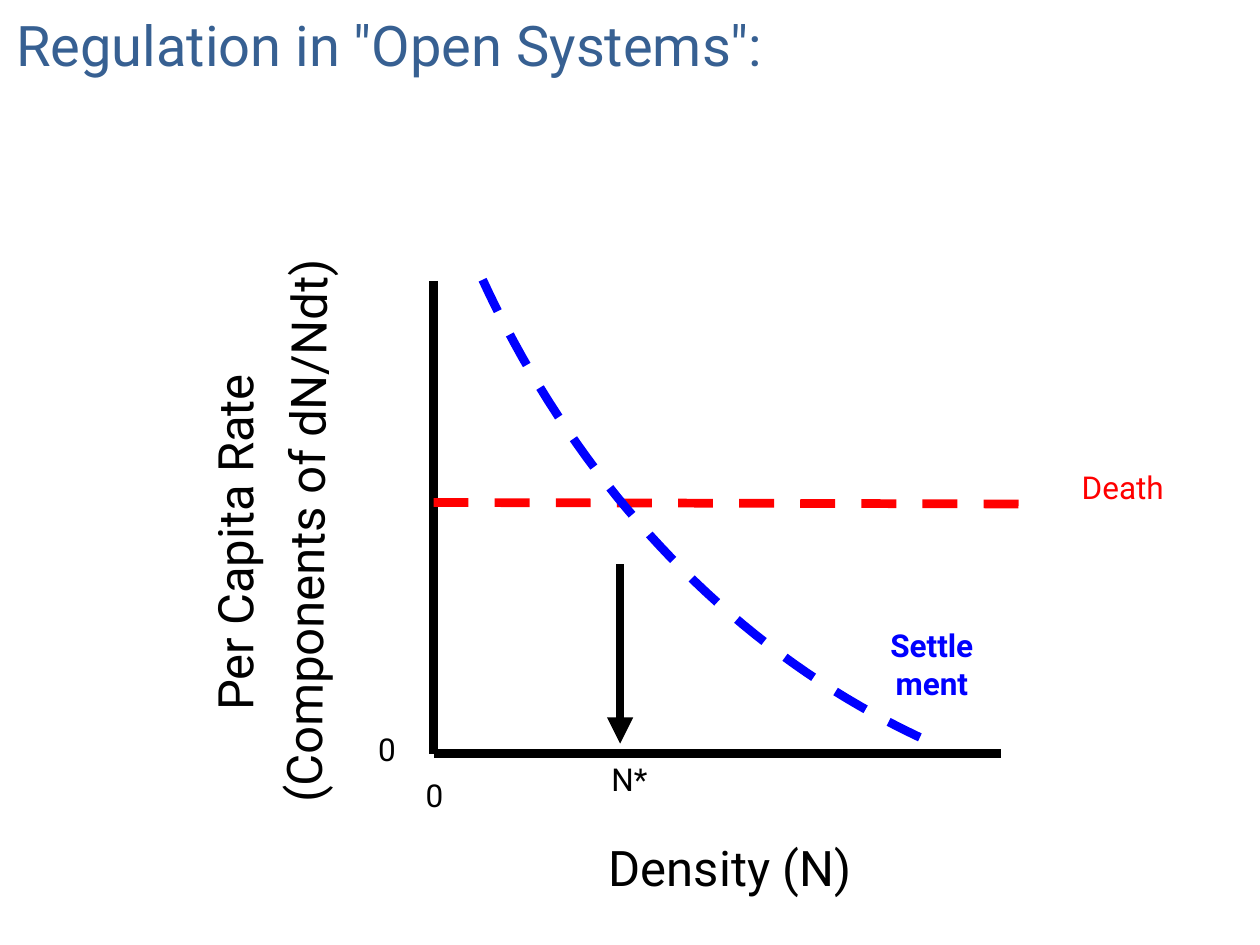
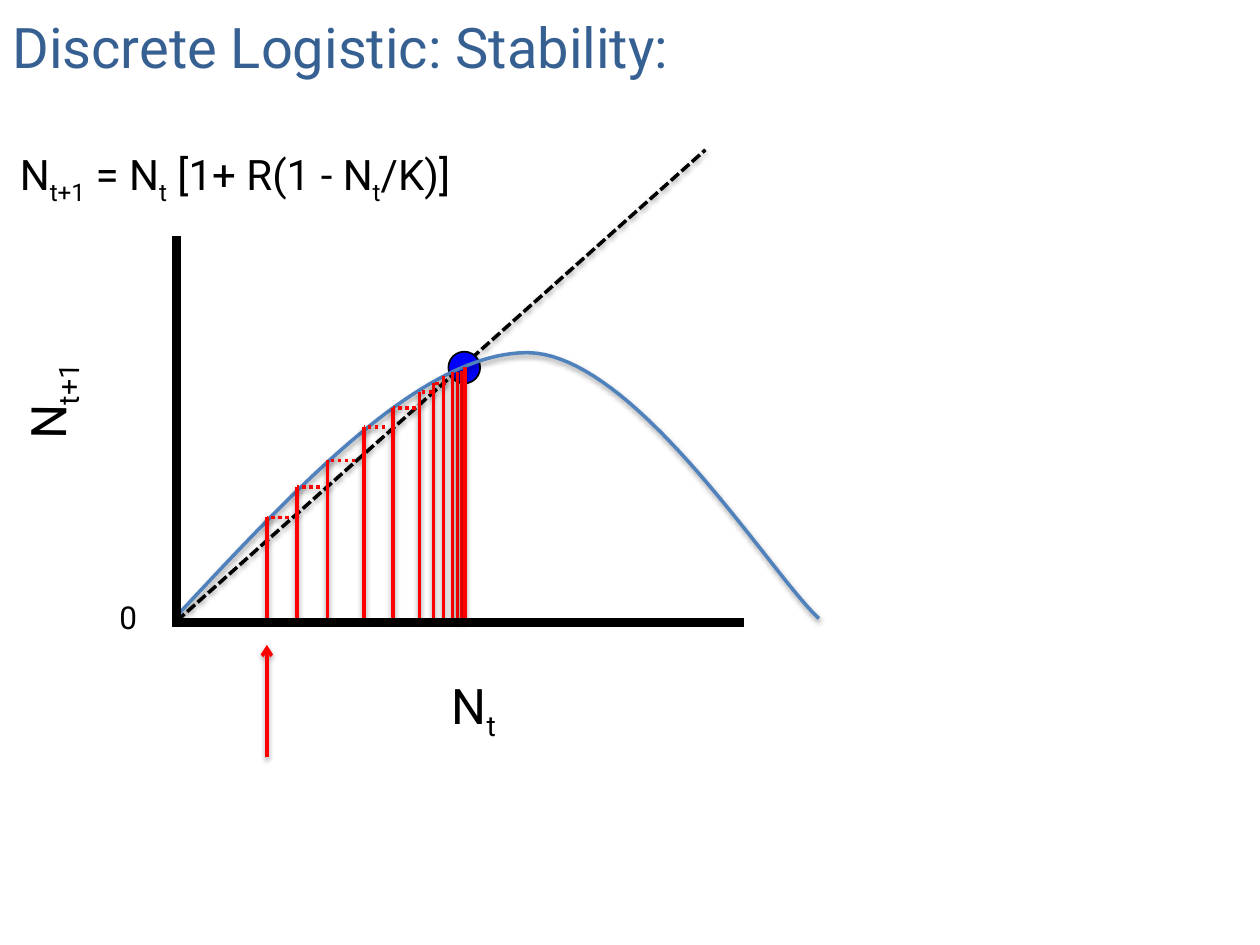
import dataclasses

import lxml.etree
import pptx
import pptx.dml.color
import pptx.enum.dml
import pptx.enum.shapes
import pptx.enum.text
import pptx.oxml.ns
import pptx.util

Cm = pptx.util.Cm
Pt = pptx.util.Pt
RGBColor = pptx.dml.color.RGBColor
Dash = pptx.enum.dml.MSO_LINE
qn = pptx.oxml.ns.qn

BLACK = RGBColor(0x00, 0x00, 0x00)
RED = RGBColor(0xFF, 0x00, 0x00)
BLUE = RGBColor(0x00, 0x00, 0xFF)
CURVE_BLUE = RGBColor(0x4F, 0x81, 0xBD)
TITLE_BLUE = RGBColor(0x37, 0x60, 0x92)

FONT = "Roboto"
TITLE_SIZE, AXIS_SIZE, FORMULA_SIZE, LABEL_SIZE = 32, 28, 24, 18
LINE_HEIGHTS = {32: 1.63, 28: 1.45, 24: 1.27, 18: 1.02}
THICK, THIN = 5, 2
CURVE_STEPS = 40

COBWEB = [
    (1.82, 5.68, 0.44),
    (2.43, 5.07, 0.46),
    (3.04, 4.53, 0.56),
    (3.78, 3.86, 0.43),
    (4.36, 3.48, 0.46),
    (4.90, 3.15, 0.25),
    (5.18, 2.98, 0.25),
    (5.38, 2.82, 0),
    (5.56, 2.74, 0),
    (5.66, 2.74, 0),
    (5.74, 2.72, 0),
    (5.81, 2.64, 0),
]


@dataclasses.dataclass
class Box:
    left: float
    top: float
    width: float
    height: float

    def place(self, x, y):
        return Cm(self.left + x), Cm(self.top + y)


def add_text(page, box, text, x=0, y=0, width=1, size=LABEL_SIZE, color=BLACK,
             bold=False, wrap=False, rotation=0, centered=True):
    label = page.shapes.add_textbox(*box.place(x, y), Cm(width), Cm(LINE_HEIGHTS[size]))
    label.rotation = rotation
    frame = label.text_frame
    frame.word_wrap = wrap
    frame.auto_size = pptx.enum.text.MSO_AUTO_SIZE.SHAPE_TO_FIT_TEXT
    para = frame.paragraphs[0]
    align = pptx.enum.text.PP_ALIGN
    para.alignment = align.CENTER if centered else align.LEFT
    for index, part in enumerate(text.split("|")):
        span = para.add_run()
        span.text = part
        span.font.name = FONT
        span.font.size = Pt(size)
        span.font.bold = bold
        span.font.color.rgb = color
        if index % 2:
            span._r.get_or_add_rPr().set("baseline", "-25000")


def style_line(shape, color, weight, dash=None, head=None, shadow=False):
    shape.line.color.rgb = color
    shape.line.width = Pt(weight)
    if dash:
        shape.line.dash_style = dash
    properties = shape._element.spPr
    if head:
        lxml.etree.SubElement(properties.find(qn("a:ln")), qn("a:tailEnd"), type=head)
    effects = lxml.etree.SubElement(properties, qn("a:effectLst"))
    if shadow:
        outer = lxml.etree.SubElement(
            effects, qn("a:outerShdw"), blurRad=str(Pt(3.1)), dist=str(Pt(1.6)),
            dir="5400000", rotWithShape="0")
        tint = lxml.etree.SubElement(outer, qn("a:srgbClr"), val=str(BLACK))
        lxml.etree.SubElement(tint, qn("a:alpha"), val="38000")


def add_line(page, box, start, end, color=BLACK, weight=THICK, **style):
    line = page.shapes.add_connector(
        pptx.enum.shapes.MSO_CONNECTOR.STRAIGHT, *box.place(*start), *box.place(*end))
    style_line(line, color, weight, **style)


def bezier_points(controls):
    for step in range(CURVE_STEPS + 1):
        t = step / CURVE_STEPS
        weights = ((1 - t) ** 3, 3 * t * (1 - t) ** 2, 3 * t * t * (1 - t), t ** 3)
        yield tuple(sum(w * point[axis] for w, point in zip(weights, controls))
                    for axis in (0, 1))


def add_curve(page, box, controls, color, weight, **style):
    points = []
    for first in range(0, len(controls) - 1, 3):
        points += [box.place(*point) for point in bezier_points(controls[first:first + 4])]
    builder = page.shapes.build_freeform(*points[0])
    builder.add_line_segments(points[1:], close=False)
    curve = builder.convert_to_shape()
    curve.fill.background()
    style_line(curve, color, weight, **style)


def add_title(page, box, text):
    add_text(page, box, text, width=box.width, size=TITLE_SIZE, color=TITLE_BLUE,
             wrap=True, centered=False)


def add_axes(page, box, overhang=0):
    add_line(page, box, (0, 0), (0, box.height + overhang))
    add_line(page, box, (0, box.height), (box.width, box.height))


def draw_open_system(page, box):
    add_axes(page, box)
    add_text(page, box, "0", -0.41, 9.86, 0.86)
    add_text(page, box, "0", -1.37, 8.94, 0.86)
    add_text(page, box, "Density (N)", 3.27, 11.1, 5.41, AXIS_SIZE)
    add_text(page, box, "(Components of dN/Ndt)", -8.44, 4.32, 11.71, AXIS_SIZE,
             rotation=270.6)
    add_text(page, box, "Per Capita Rate", -7.88, 4.55, 7.72, AXIS_SIZE, rotation=270)
    add_line(page, box, (3.76, 5.72), (3.76, 9.33), head="triangle")
    add_text(page, box, "N*", 3.3, box.height, 1.3)
    add_text(page, box, "Death", 12.42, 3.66, 2.95, color=RED, wrap=True)
    add_line(page, box, (0, 4.47), (12.01, 4.5), RED, dash=Dash.DASH)
    add_text(page, box, "Settlement", 8.76, 6.84, 2.57, color=BLUE, bold=True, wrap=True)
    add_curve(page, box, [(0.99, -0.02), (2.97, 4.27), (6.17, 7.57), (10.01, 9.3)],
              BLUE, THICK, dash=Dash.DASH)


def draw_cobweb(page, box):
    floor = box.height - 0.03
    add_line(page, box, (0, floor), (10.66, -1.73), weight=THIN,
             dash=Dash.SQUARE_DOT, shadow=True)
    equilibrium = page.shapes.add_shape(
        pptx.enum.shapes.MSO_SHAPE.OVAL, *box.place(5.48, 2.34), Cm(0.64), Cm(0.64))
    equilibrium.fill.solid()
    equilibrium.fill.fore_color.rgb = BLUE
    style_line(equilibrium, BLACK, 1)
    add_curve(page, box, [(0.02, 7.65), (2.49, 5), (4.95, 2.36), (7.08, 2.36),
                          (9.24, 2.39), (11.98, 6.83), (12.95, 7.72)],
              CURVE_BLUE, THIN, shadow=True)
    for x, top, tread in COBWEB:
        add_line(page, box, (x, floor), (x, top), RED, THIN, shadow=True)
        if tread:
            add_line(page, box, (x + tread, top), (x, top), RED, THIN,
                     dash=Dash.ROUND_DOT, shadow=True)
    add_axes(page, box, overhang=0.08)
    add_text(page, box, "0", -1.43, 7.19, 0.91)
    add_text(page, box, "N|t", 5.23, 8.74, 1.52, AXIS_SIZE)
    add_text(page, box, "N|t+1", -3.76, 2.62, 2.31, AXIS_SIZE, rotation=270.6)
    start = COBWEB[0][0]
    add_line(page, box, (start, 10.52), (start, 8.25), RED, THIN, head="arrow", shadow=True)


def main():
    deck = pptx.Presentation()
    deck.slide_width, deck.slide_height = Cm(25.4), Cm(19.05)
    blank = deck.slide_layouts[6]

    page = deck.slides.add_slide(blank)
    draw_open_system(page, Box(8.74, 5.66, 11.43, 9.53))
    add_title(page, Box(0.08, 0.08, 17.48, 1.63), 'Regulation in "Open Systems":')

    page = deck.slides.add_slide(blank)
    draw_cobweb(page, Box(3.56, 4.75, 11.43, 7.8))
    add_title(page, Box(0, 0.13, 16.64, 1.63), "Discrete Logistic: Stability:")
    add_text(page, Box(0.15, 2.87, 12.5, 1.27), "N|t+1| = N|t| [1+ R(1 - N|t|/K)]",
             width=12.5, size=FORMULA_SIZE, wrap=True, centered=False)

    deck.save("out.pptx")


if __name__ == "__main__":
    main()
